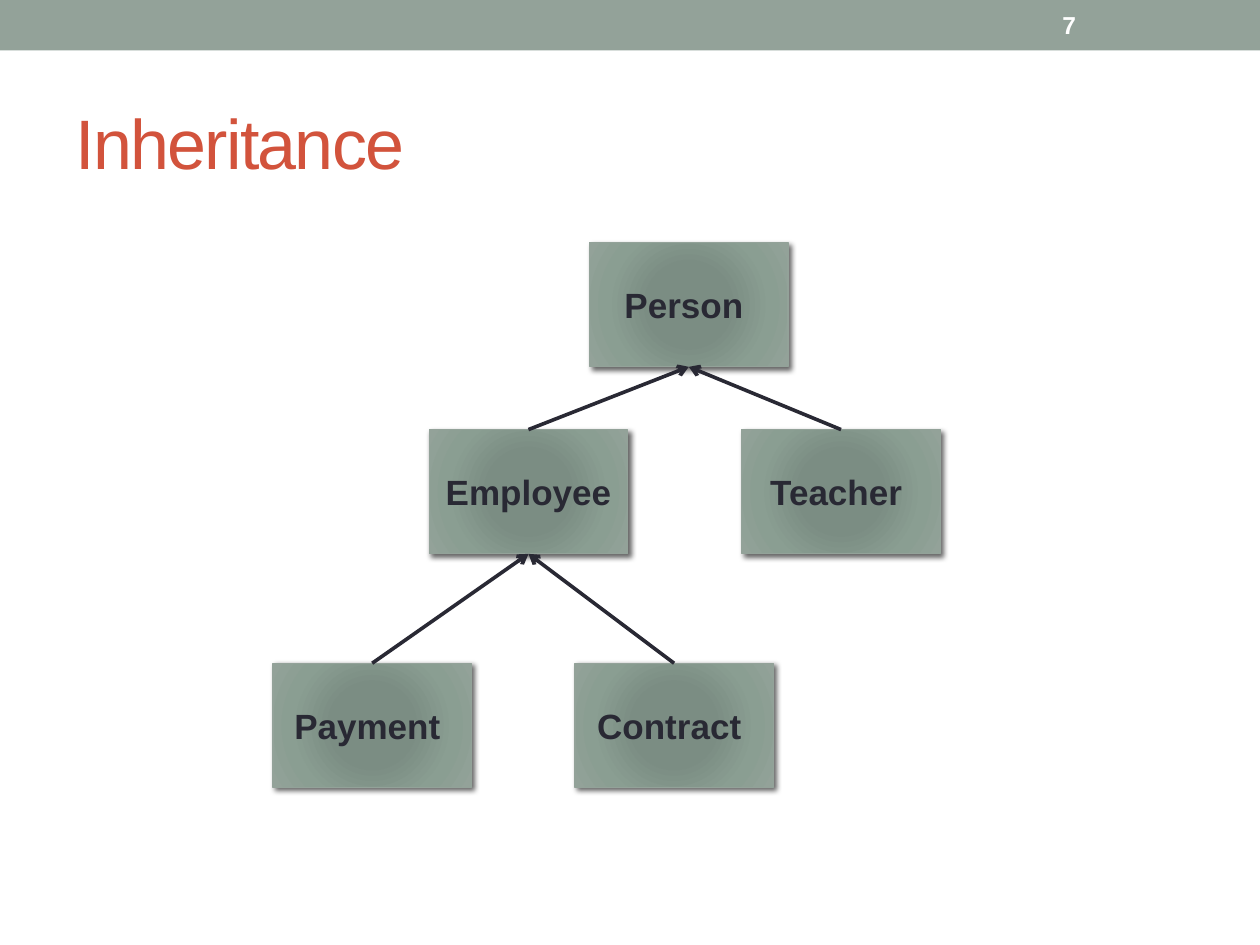
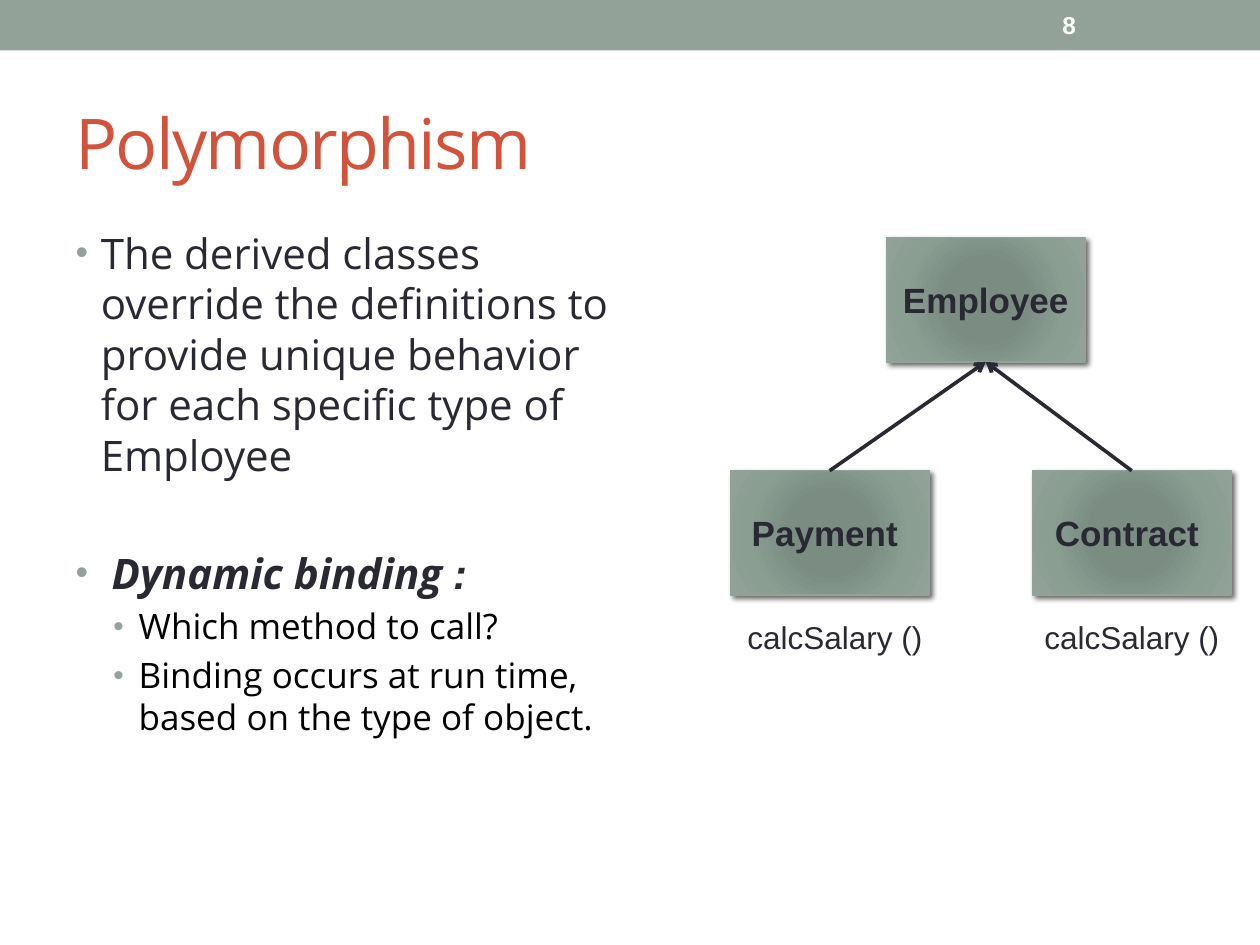
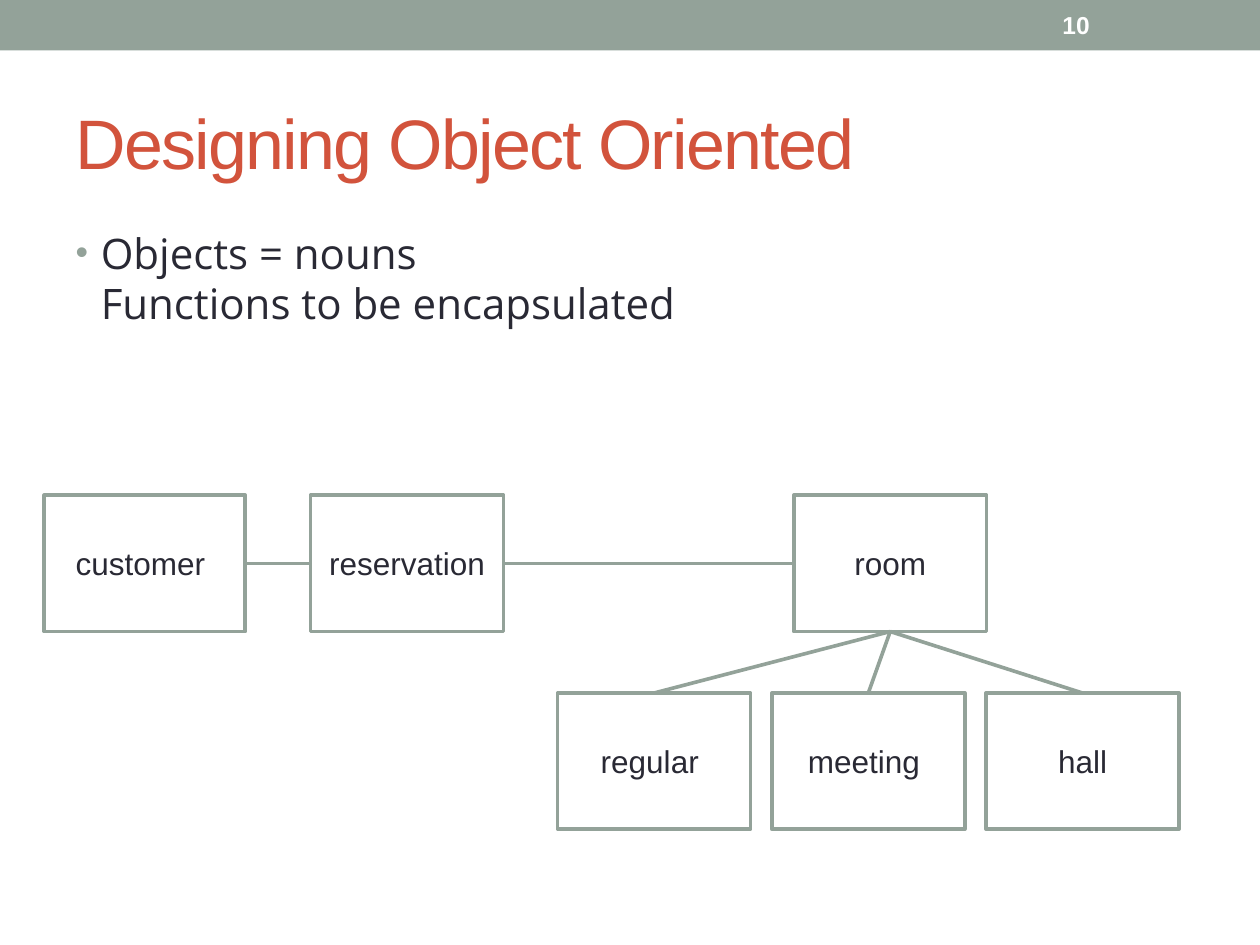
import pptx
import pptx.dml.color
import pptx.enum.shapes
import pptx.enum.text
import pptx.oxml
import pptx.oxml.ns
import pptx.util

Pt = pptx.util.Pt
Align = pptx.enum.text.PP_ALIGN
Anchor = pptx.enum.text.MSO_ANCHOR

COLOURS = {
    "sage": "93A299", "ink": "292934", "rust": "D2533C",
    "white": "FFFFFF", "black": "000000",
}
GRADIENT = [(0, "7B8E82"), (34, "7B8D83"), (70, "8A9E92"), (100, "93A299")]
SANS, HUMANIST = "Arial", "Open Sans"
TOP, LEFT, BOTTOM, RIGHT = range(4)  # connection sites of a rectangle


def colour(name):
    return pptx.dml.color.RGBColor.from_string(COLOURS[name])


def append_xml(parent, tag, attributes="", inner=""):
    namespace = pptx.oxml.ns.nsdecls("a")
    element = pptx.oxml.parse_xml(f"<a:{tag} {namespace} {attributes}>{inner}</a:{tag}>")
    parent.append(element)
    return element


def write(paragraph, text, size=18, font=SANS, ink="ink", bold=False,
          italic=False, spacing=None, align=Align.LEFT):
    """Add formatted text to a paragraph; a newline becomes a line break."""
    paragraph.alignment = align
    for index, line in enumerate(text.split("\n")):
        if index:
            paragraph.add_line_break()
        run = paragraph.add_run()
        run.text = line
        run.font.size, run.font.name = Pt(size), font
        run.font.bold, run.font.italic = bold, italic
        run.font.color.rgb = colour(ink)
        if spacing is not None:
            run.font._element.set("spc", str(spacing * 100))


class Deck:
    """Holds the shared style and the slide being built."""

    def __init__(self):
        self.presentation = pptx.Presentation()
        self.presentation.slide_width = Pt(720)
        self.presentation.slide_height = Pt(540)
        self.slide = None

    def start_slide(self, title, number, font=SANS, has_list=False):
        layout = self.presentation.slide_layouts[1 if has_list else 5]
        self.slide = self.presentation.slides.add_slide(layout)
        self.rectangle(0, 0, 720, 28.8, fill="sage")
        shape = self.slide.shapes.title
        self.place(shape, 36, 41.8, 648, 77.8)
        frame = self.prepare(shape, Anchor.MIDDLE)
        write(frame.paragraphs[0], title, size=40, font=font, ink="rust", spacing=-1)
        self.label(number, 600, 1.4, 84, 26, anchor=Anchor.MIDDLE,
                   size=14, ink="white", bold=True)

    def place(self, shape, left, top, width, height):
        shape.left, shape.top = Pt(left), Pt(top)
        shape.width, shape.height = Pt(width), Pt(height)

    def prepare(self, shape, anchor, wrap=True):
        frame = shape.text_frame
        frame.word_wrap = wrap
        frame.auto_size = pptx.enum.text.MSO_AUTO_SIZE.NONE
        frame.vertical_anchor = anchor
        return frame

    def label(self, text, left, top, width, height, anchor=Anchor.TOP, wrap=True, **style):
        shape = self.slide.shapes.add_textbox(Pt(left), Pt(top), Pt(width), Pt(height))
        write(self.prepare(shape, anchor, wrap).paragraphs[0], text, **style)

    def rectangle(self, left, top, width, height, fill="white", line=None):
        shape = self.slide.shapes.add_shape(
            pptx.enum.shapes.MSO_SHAPE.RECTANGLE, Pt(left), Pt(top), Pt(width), Pt(height))
        shape.shadow.inherit = False
        shape.fill.solid()
        shape.fill.fore_color.rgb = colour(fill)
        if line is None:
            shape.line.fill.background()
        else:
            shape.line.color.rgb = colour("sage")
            shape.line.width = Pt(line)
        return shape

    def caption(self, shape, text, **style):
        frame = self.prepare(shape, Anchor.MIDDLE)
        write(frame.paragraphs[0], text, align=Align.CENTER, **style)

    def class_box(self, text, left, top):
        """Box with a radial gradient and a soft shadow."""
        shape = self.rectangle(left, top, 113.4, 71, line=0.75)
        properties = shape.element.spPr
        stops = "".join(f'<a:gs pos="{position * 1000}"><a:srgbClr val="{tone}"/></a:gs>'
                        for position, tone in GRADIENT)
        edges = " ".join(f'{side}="100000"' for side in "ltrb")
        gradient = append_xml(
            properties, "gradFill", 'rotWithShape="1"',
            f'<a:gsLst>{stops}</a:gsLst>'
            f'<a:path path="circle"><a:fillToRect {edges}/></a:path>')
        properties.replace(properties.find(pptx.oxml.ns.qn("a:solidFill")), gradient)
        append_xml(
            properties.find(pptx.oxml.ns.qn("a:effectLst")), "outerShdw",
            f'blurRad="{Pt(3)}" dist="{Pt(2)}" dir="2700000" algn="tl" rotWithShape="0"',
            f'<a:srgbClr val="{COLOURS["black"]}"><a:alpha val="60000"/></a:srgbClr>')
        self.caption(shape, text, size=20, bold=True)
        return shape

    def entity_box(self, text, left, top, width=110.2):
        """Plain outlined box."""
        shape = self.rectangle(left, top, width, 77.9, line=2.08)
        self.caption(shape, text)
        return shape

    def connect(self, start, start_site, end, end_site, ink="sage", arrow=False):
        connector = self.slide.shapes.add_connector(
            pptx.enum.shapes.MSO_CONNECTOR.STRAIGHT, 0, 0, 0, 0)
        connector.begin_connect(start, start_site)
        connector.end_connect(end, end_site)
        connector.line.color.rgb = colour(ink)
        connector.line.width = Pt(2.08)
        properties = connector.element.spPr
        if arrow:
            append_xml(properties.find(pptx.oxml.ns.qn("a:ln")), "tailEnd", 'type="arrow"')
        append_xml(properties, "effectLst")

    def inherit(self, parent, *children):
        for child in children:
            self.connect(child, TOP, parent, BOTTOM, ink="ink", arrow=True)

    def bullets(self, width, items):
        """Fill the body with (level, space before, [(text, style), ...]) items."""
        shape = self.slide.placeholders[1]
        self.place(shape, 36, 126, width, 383.8)
        frame = self.prepare(shape, Anchor.TOP)
        for index, (level, space, runs) in enumerate(items):
            paragraph = frame.add_paragraph() if index else frame.paragraphs[0]
            paragraph.level = level
            paragraph.space_before = Pt(space)
            paragraph.line_spacing = Pt((28.9, 24)[level])
            for text, style in runs:
                write(paragraph, text, **{"size": (24, 20)[level], "font": HUMANIST,
                                          "ink": ("ink", "black")[level], **style})
            properties = paragraph._p.get_or_add_pPr()
            properties.set("marL", str(Pt((14.4, 36)[level])))
            properties.set("indent", str(Pt(-14.4)))
            append_xml(properties, "buClr", inner=f'<a:srgbClr val="{COLOURS["sage"]}"/>')
            append_xml(properties, "buSzPct", 'val="85000"')
            append_xml(properties, "buFont", f'typeface="{SANS}"')
            append_xml(properties, "buChar", 'char="•"')


def build_inheritance(deck):
    deck.start_slide("Inheritance", "7")
    person = deck.class_box("Person ", 336.9, 138.6)
    employee = deck.class_box("Employee", 245.3, 245.5)
    teacher = deck.class_box("Teacher ", 423.9, 245.5)
    payment = deck.class_box("Payment ", 156, 379)
    contract = deck.class_box("Contract ", 328.5, 379)
    deck.inherit(person, employee, teacher)
    deck.inherit(employee, payment, contract)


def build_polymorphism(deck):
    deck.start_slide("Polymorphism", "8", font=HUMANIST, has_list=True)
    strong = {"bold": True, "italic": True}
    deck.bullets(319, [
        (0, 1.6, [("The derived classes override the definitions to provide unique "
                   "behavior for each specific type of Employee", {})]),
        (0, 38.5, [(" ", {"bold": True}), ("Dynamic binding ", strong),
                   (":", {**strong, "font": SANS})]),
        (1, 4, [("Which method to call?", {})]),
        (1, 4, [("Binding occurs at run time, based on the type of object.", {})]),
    ])
    employee = deck.class_box("Employee", 506.6, 135.8)
    payment = deck.class_box("Payment ", 417.4, 269)
    contract = deck.class_box("Contract ", 590, 269)
    deck.inherit(employee, payment, contract)
    deck.label("calcSalary ()", 420, 349.4, 116, 29)
    deck.label("calcSalary ()", 589.7, 349.4, 115.2, 29, wrap=False)


def build_design(deck):
    deck.start_slide("Designing Object Oriented", "10", has_list=True)
    deck.bullets(648, [(0, 1.6, [("Objects = nouns\nFunctions to be encapsulated", {})])])
    # Main entities
    customer = deck.entity_box("customer ", 25.2, 283, width=115)
    reservation = deck.entity_box("reservation", 177.5, 283)
    room = deck.entity_box("room", 453.6, 283)
    deck.connect(customer, RIGHT, reservation, LEFT)
    deck.connect(reservation, RIGHT, room, LEFT)
    # Kinds of room
    for index, kind in enumerate(["regular ", "meeting ", "hall"]):
        box = deck.entity_box(kind, 318.7 + 122.4 * index, 396)
        deck.connect(room, BOTTOM, box, TOP)


def main():
    deck = Deck()
    build_inheritance(deck)
    build_polymorphism(deck)
    build_design(deck)
    deck.presentation.save("out.pptx")


if __name__ == "__main__":
    main()
